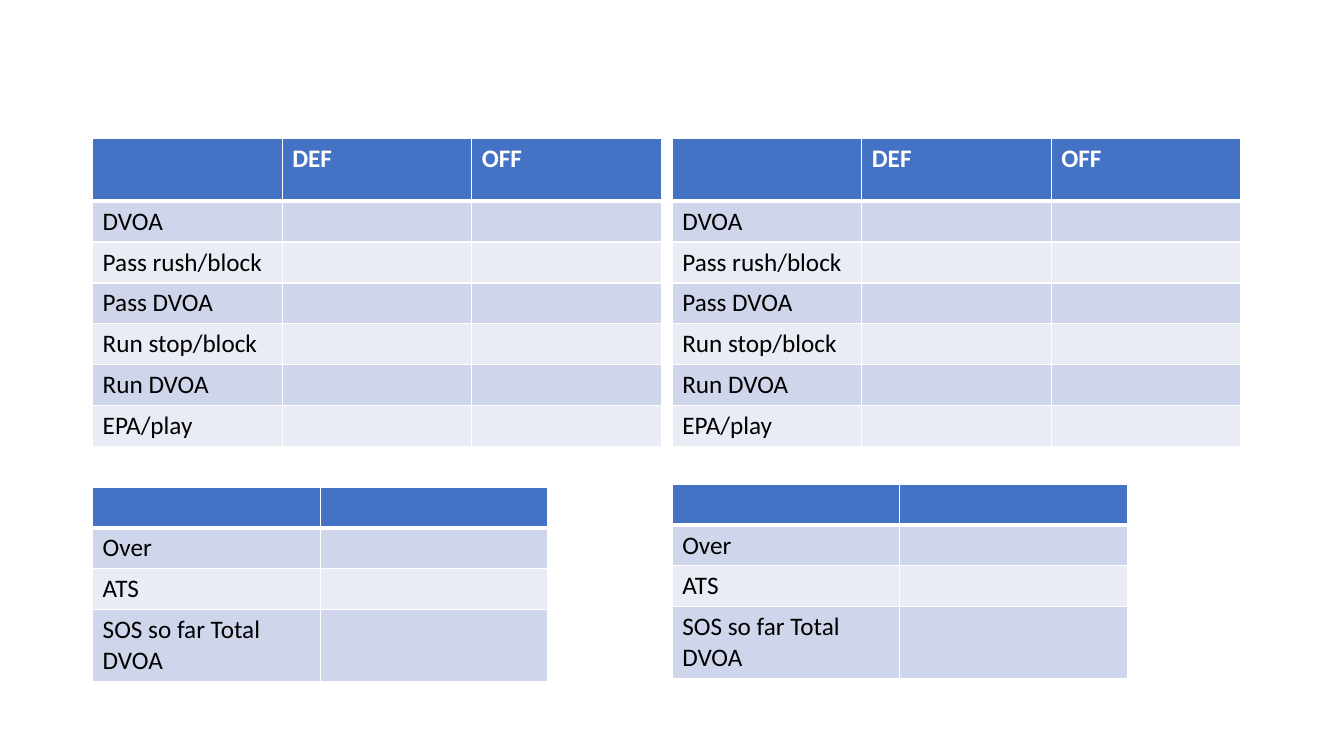
"""Build a slide with two matching pairs of team statistics tables."""
from dataclasses import dataclass

from lxml import etree
from pptx import Presentation
from pptx.dml.color import RGBColor
from pptx.oxml import ns
from pptx.util import Pt


@dataclass(frozen=True)
class Theme:
    """Colours, type and line widths of the slide."""
    font: str = "Calibri"
    size: int = 18
    header_fill: str = "4472C4"
    header_text: str = "FFFFFF"
    bands: tuple = ("CFD5EA", "E9EBF5")
    body_text: str = "000000"
    border: str = "FFFFFF"
    thin: int = 1
    thick: int = 3


class SlideBuilder:
    """Holds the theme and the current slide."""

    def __init__(self, page, theme):
        """Keep the slide to draw on and its theme."""
        self.page = page
        self.theme = theme

    def border(self, cell, side, width):
        """Draw one side (L, R, T or B) of a cell."""
        properties = cell._tc.get_or_add_tcPr()
        line = etree.SubElement(properties, ns.qn(f"a:ln{side}"), w=str(Pt(width)))
        fill = etree.SubElement(line, ns.qn("a:solidFill"))
        etree.SubElement(fill, ns.qn("a:srgbClr"), val=self.theme.border)

    def cell(self, cell, words, row):
        """Fill and format one cell according to its row."""
        theme = self.theme
        header = row == 0
        cell.text = words
        for side in "LRTB":
            beside_header_rule = (row, side) in ((0, "B"), (1, "T"))
            self.border(cell, side, theme.thick if beside_header_rule else theme.thin)
        fill = theme.header_fill if header else theme.bands[(row - 1) % 2]
        cell.fill.solid()
        cell.fill.fore_color.rgb = RGBColor.from_string(fill)
        font = cell.text_frame.paragraphs[0].font
        font.name, font.size, font.bold = theme.font, Pt(theme.size), header
        color = theme.header_text if header else theme.body_text
        font.color.rgb = RGBColor.from_string(color)

    def table(self, left, top, column_width, heights, headings, labels):
        """Add a table with a heading row and labels down the first column."""
        blanks = [""] * (len(headings) - 1)
        rows = [headings] + [[label, *blanks] for label in labels]
        frame = self.page.shapes.add_table(
            len(rows), len(headings), Pt(left), Pt(top),
            Pt(column_width * len(headings)), Pt(sum(heights)))
        grid = frame.table
        for column in grid.columns:
            column.width = Pt(column_width)
        for index, (words, height) in enumerate(zip(rows, heights)):
            grid.rows[index].height = Pt(height)
            for column, word in enumerate(words):
                self.cell(grid.cell(index, column), word, index)


RATINGS = ["DVOA", "Pass rush/block", "Pass DVOA", "Run stop/block",
           "Run DVOA", "EPA/play"]
RECORDS = ["Over", "ATS", "SOS so far Total DVOA"]


def main():
    """Build and save the deck."""
    deck = Presentation()
    deck.slide_width, deck.slide_height = Pt(960), Pt(540)
    page = deck.slides.add_slide(deck.slide_layouts[6])
    builder = SlideBuilder(page, Theme())
    for left, records_top in ((66.2, 347.8), (480.2, 345.8)):
        builder.table(left, 98.7, 135.4, [45] + [28.4] * len(RATINGS),
                      ["", "DEF", "OFF"], RATINGS)
        builder.table(left, records_top, 162.6, [29.2] * (len(RECORDS) + 1),
                      ["", ""], RECORDS)
    deck.save("out.pptx")


main()
